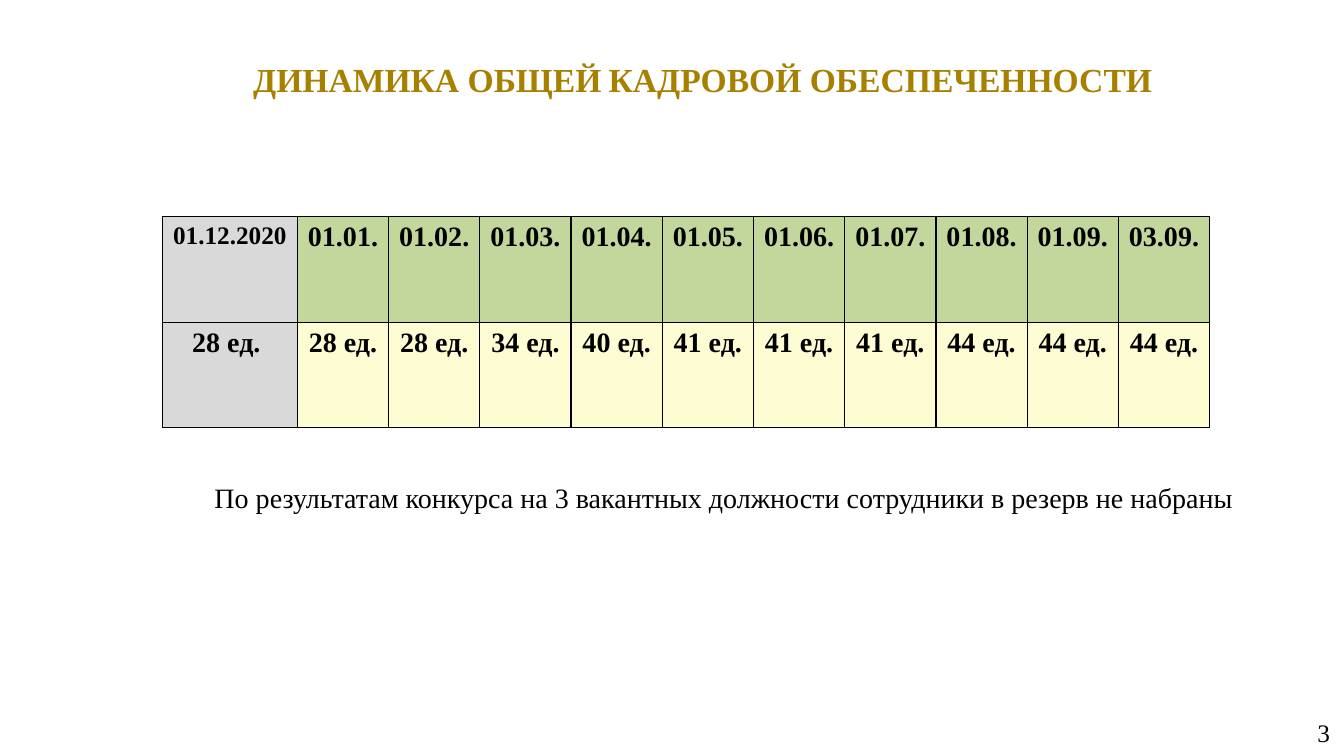
from lxml import etree
from pptx import Presentation
from pptx.dml.color import RGBColor
from pptx.enum import text
from pptx.oxml import ns
from pptx.util import Inches, Pt

FONT = "Times New Roman"
BLACK, GOLD = "000000", "A88000"
GREY, GREEN, CREAM = "D9D9D9", "C3D69B", "FDFCD3"
DATES = ["01.12.2020", "01.01.", "01.02.", "01.03.", "01.04.", "01.05.",
         "01.06.", "01.07.", "01.08.", "01.09.", "03.09."]
STAFF = ["28 ед. ", "28 ед.", "28 ед.", "34 ед.", "40 ед.", "41 ед.",
         "41 ед.", "41 ед.", "44 ед.", "44 ед.", "44 ед."]


def color(value):
    return RGBColor.from_string(value)


def add_run(p, words, size, fill=BLACK, bold=False):
    r = p.add_run()
    r.text = words
    r.font.name, r.font.size, r.font.bold = FONT, Pt(size), bold
    r.font.color.rgb = color(fill)


def set_frame(tf, inset_x, inset_y, anchor, align):
    tf.word_wrap = True
    tf.vertical_anchor = anchor
    tf.margin_left = tf.margin_right = Inches(inset_x)
    tf.margin_top = tf.margin_bottom = Inches(inset_y)
    p = tf.paragraphs[0]
    p.alignment = align
    return p


def add_title(s):
    sp = s.shapes.title
    sp.left, sp.top = Inches(1.65), Inches(0.51)
    sp.width, sp.height = Inches(10.64), Inches(0.53)
    p = set_frame(sp.text_frame, 0.13, 0.07, text.MSO_ANCHOR.TOP,
                  text.PP_ALIGN.CENTER)
    sp.text_frame.auto_size = text.MSO_AUTO_SIZE.SHAPE_TO_FIT_TEXT
    for words, size in (("ДИНАМИКА ОБЩЕЙ", 24), (" ", 20),
                        ("КАДРОВОЙ ОБЕСПЕЧЕННОСТИ", 24)):
        add_run(p, words, size, GOLD, True)


def add_text(s, box, words, size, insets, anchor, align):
    sp = s.shapes.add_textbox(*map(Inches, box))
    add_run(set_frame(sp.text_frame, *insets, anchor, align), words, size)


def set_borders(cell):
    # Borders come before the fill inside the cell properties
    props = cell._tc.get_or_add_tcPr()
    for i, side in enumerate(("lnL", "lnR", "lnT", "lnB")):
        line = etree.Element(ns.qn("a:" + side), w=str(Pt(0.96)))
        fill = etree.SubElement(line, ns.qn("a:solidFill"))
        etree.SubElement(fill, ns.qn("a:srgbClr"), val=BLACK)
        props.insert(i, line)


def fill_cell(cell, words, size, fill):
    cell.margin_left = cell.margin_right = Inches(0.08)
    cell.fill.solid()
    cell.fill.fore_color.rgb = color(fill)
    set_borders(cell)
    p = cell.text_frame.paragraphs[0]
    p.alignment = text.PP_ALIGN.CENTER
    add_run(p, words, size, bold=True)


def add_staff_table(s):
    table = s.shapes.add_table(2, len(DATES), Inches(1.61), Inches(2.15),
                               Inches(10.39), Inches(2.09)).table
    first_width = 1.34
    month_width = (10.39 - first_width) / (len(DATES) - 1)
    for i, column in enumerate(table.columns):
        column.width = Inches(month_width if i else first_width)
    table.rows[0].height, table.rows[1].height = Inches(1.05), Inches(1.04)
    for row, (values, fill) in enumerate(((DATES, GREEN), (STAFF, CREAM))):
        for col, words in enumerate(values):
            size = 18 if row == col == 0 else 20
            fill_cell(table.cell(row, col), words, size, fill if col else GREY)


def main():
    prs = Presentation()
    prs.slide_width, prs.slide_height = Inches(13.33), Inches(7.5)
    s = prs.slides.add_slide(prs.slide_layouts[5])
    add_title(s)
    add_staff_table(s)
    # Slide number
    add_text(s, (10.22, 7.07, 3.1, 0.39), "3", 18, (0.13, 0.07),
             text.MSO_ANCHOR.MIDDLE, text.PP_ALIGN.RIGHT)
    # Conclusion below the table
    add_text(s, (1.77, 4.72, 10.82, 0.71),
             "По результатам конкурса на 3 вакантных должности "
             "сотрудники в резерв не набраны", 20, (0.1, 0.05),
             text.MSO_ANCHOR.TOP, text.PP_ALIGN.CENTER)
    prs.save("out.pptx")


if __name__ == "__main__":
    main()
